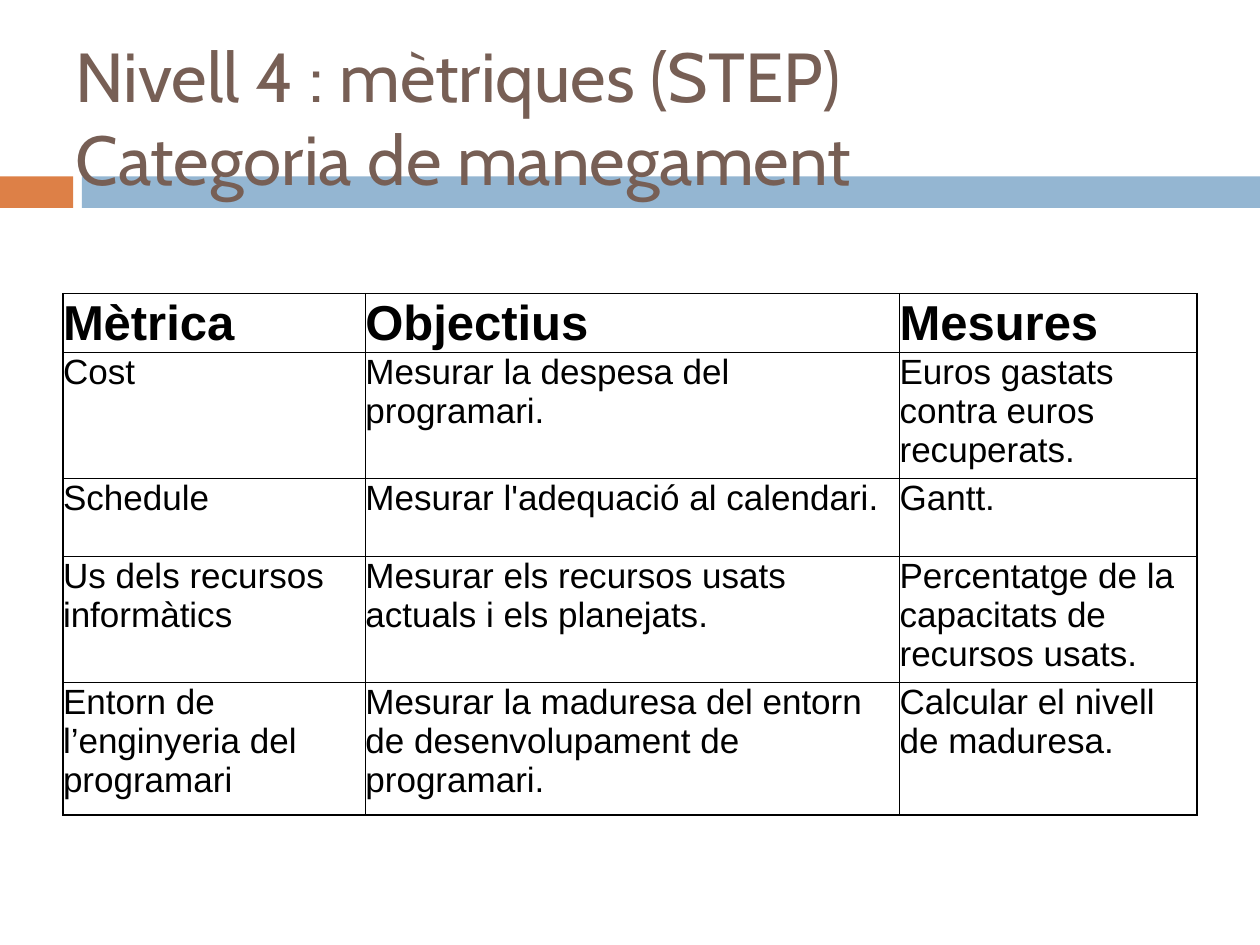
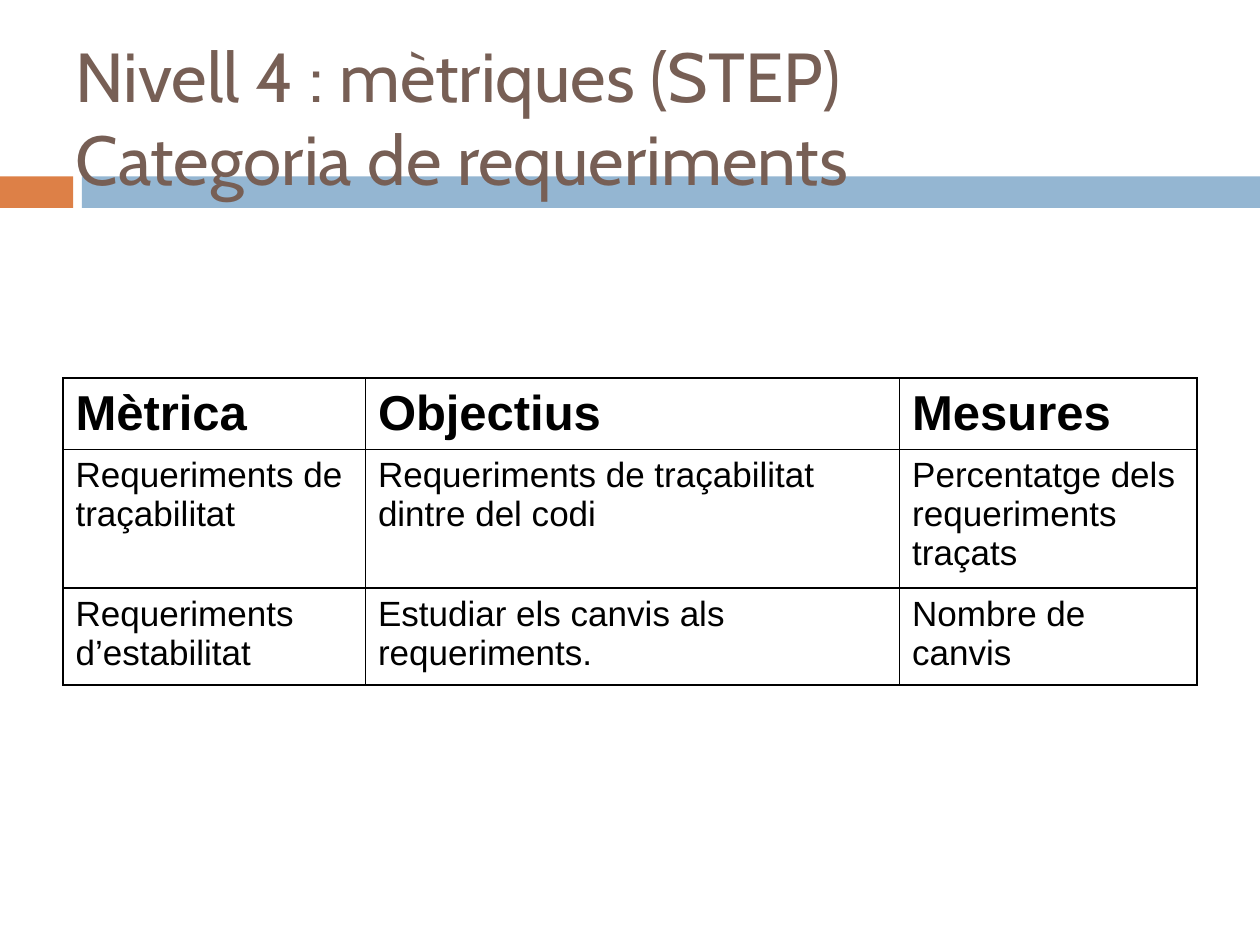
from dataclasses import dataclass
from typing import Any

from lxml.etree import SubElement as Sub
from pptx import Presentation
from pptx.dml.color import RGBColor as Rgb
from pptx.enum.shapes import MSO_SHAPE as Shape
from pptx.enum.text import MSO_ANCHOR as Anchor
from pptx.oxml.ns import qn
from pptx.util import Inches, Pt

HUES = {"band": "94B6D2", "tab": "DD8047", "title": "775F55", "ink": "000000"}
FONTS = {
    "title": {"name": "Cabin", "size": Pt(39.6), "bold": False},
    "head": {"name": "Arial", "size": Pt(28), "bold": True},
    "body": {"name": "Arial", "size": Pt(20), "bold": False},
}
COLS = (2.4, 4.24, 2.36)
HEAD = ("Mètrica", "Objectius", "Mesures")
TOPIC = "Nivell 4 : mètriques (STEP)"


@dataclass(frozen=True)
class Bar:
    left: float
    width: float
    hue: str


@dataclass(frozen=True)
class Page:
    name: str
    top: float
    pad: tuple[float, float]
    highs: tuple[float, ...]
    rows: tuple[tuple[str, str, str], ...]


BARS = (Bar(0, 0.58, "tab"), Bar(0.65, 9.35, "band"))
PAGES = (
    Page("Categoria de manegament", 2.33, (0, 0), (0.43, 0.93, 0.62, 0.93, 1.05), (
        ("Cost", "Mesurar la despesa del programari.",
         "Euros gastats contra euros recuperats."),
        ("Schedule", "Mesurar l'adequació al calendari.", "Gantt."),
        ("Us dels recursos informàtics",
         "Mesurar els recursos usats actuals i els planejats.",
         "Percentatge de la capacitats de recursos usats."),
        ("Entorn de l’enginyeria del programari",
         "Mesurar la maduresa del entorn de desenvolupament de programari.",
         "Calcular el nivell de maduresa."),
    )),
    Page("Categoria de requeriments", 3, (0.1, 0.05), (0.53, 1.03, 0.72), (
        ("Requeriments de traçabilitat",
         "Requeriments de traçabilitat dintre del codi",
         "Percentatge dels requeriments traçats"),
        ("Requeriments d’estabilitat", "Estudiar els canvis als requeriments.",
         "Nombre de canvis"),
    )),
)


def apply(item: Any, form: dict[str, Any]) -> None:
    """Set each format value on the item."""
    for key, value in form.items():
        setattr(item, key, value)


def write(frame: Any, text: str, kind: str, hue: str) -> None:
    """Write text in one of the shared fonts."""
    para = frame.paragraphs[0]
    para.text = text
    for run in para.runs:
        apply(run.font, FONTS[kind])
        run.font.color.rgb = Rgb.from_string(HUES[hue])


def draw_bar(slide: Any, bar: Bar) -> None:
    """Draw one block of the band below the title."""
    box = slide.shapes.add_shape(Shape.RECTANGLE, Inches(bar.left), Inches(1.4),
                                 Inches(bar.width), Inches(0.25))
    box.shadow.inherit = False
    box.fill.solid()
    box.fill.fore_color.rgb = Rgb.from_string(HUES[bar.hue])
    box.line.fill.background()


def draw_title(slide: Any, name: str) -> None:
    """Draw the two-line title."""
    box = slide.shapes.add_textbox(Inches(0.5), Inches(0.3), Inches(9), Inches(1.25))
    apply(box.text_frame, {"word_wrap": True, "vertical_anchor": Anchor.MIDDLE})
    write(box.text_frame, f"{TOPIC}\v{name}", "title", "title")


def edge(cell: Any) -> None:
    """Give a cell thin borders on all sides and no fill."""
    props = cell._tc.get_or_add_tcPr()
    for side in ("lnL", "lnR", "lnT", "lnB"):
        line = Sub(props, qn(f"a:{side}"), w=str(Pt(1)))
        fill = Sub(line, qn("a:solidFill"))
        Sub(fill, qn("a:srgbClr"), val=HUES["ink"])
    cell.fill.background()


def draw_table(slide: Any, page: Page) -> None:
    """Draw the table of metrics."""
    rows = (HEAD, *page.rows)
    grid = slide.shapes.add_table(len(rows), len(COLS), Inches(0.5), Inches(page.top),
                                  Inches(sum(COLS)), Inches(sum(page.highs))).table
    grid.horz_banding = False
    for col, width in zip(grid.columns, COLS):
        col.width = Inches(width)
    for row, high in zip(grid.rows, page.highs):
        row.height = Inches(high)
    side, end = map(Inches, page.pad)
    form = {"margin_left": side, "margin_right": side,
            "margin_top": end, "margin_bottom": end}
    for r, texts in enumerate(rows):
        kind, anchor = ("body", Anchor.TOP) if r else ("head", Anchor.MIDDLE)
        for c, text in enumerate(texts):
            cell = grid.cell(r, c)
            apply(cell, {**form, "vertical_anchor": anchor})
            write(cell.text_frame, text, kind, "ink")
            edge(cell)


def main() -> None:
    """Build and save the slides."""
    deck = Presentation()
    apply(deck, {"slide_width": Inches(10), "slide_height": Inches(7.5)})
    for page in PAGES:
        slide = deck.slides.add_slide(deck.slide_layouts[6])
        for bar in BARS:
            draw_bar(slide, bar)
        draw_title(slide, page.name)
        draw_table(slide, page)
    deck.save("out.pptx")


main()
